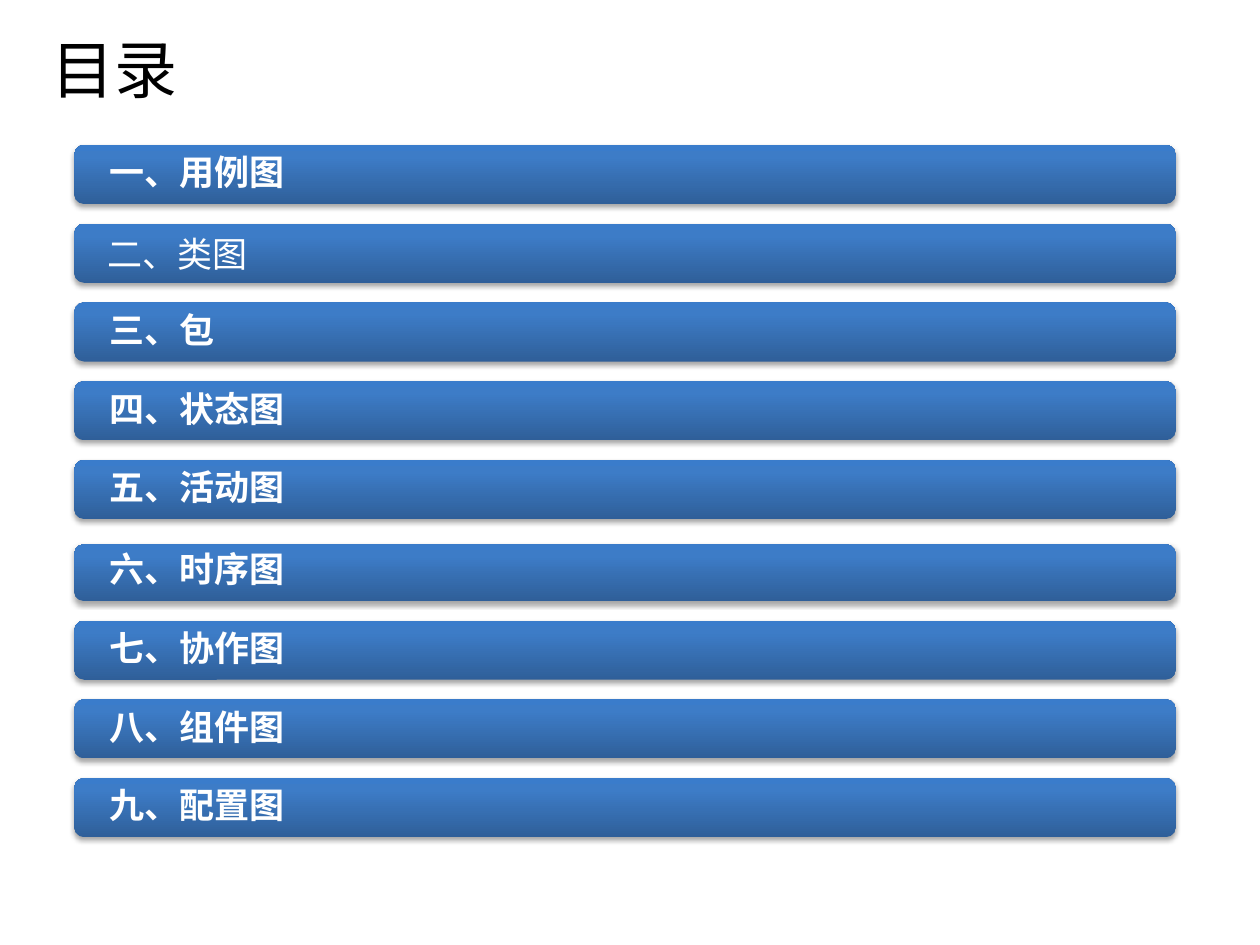
import dataclasses

import lxml.etree
import pptx
import pptx.dml.color
import pptx.enum.shapes
import pptx.enum.text
import pptx.oxml
import pptx.oxml.ns
import pptx.util


@dataclasses.dataclass(frozen=True)
class Theme:
    """Colours, fonts and type sizes of the slide."""
    ink: str = "000000"
    light: str = "FFFFFF"
    stops: tuple = ((0, "2F5F99"), (80, "3D7CC7"), (100, "3A7CCB"))
    title_font: str = "Noto Sans CJK SC"
    item_font: str = "Calibri"
    title_size: int = 36
    item_size: int = 20


@dataclasses.dataclass(frozen=True)
class Box:
    """A rectangle in inches."""
    x: float
    y: float
    w: float
    h: float

    def inset(self, dx, top, bottom):
        """Return the box with its edges moved inwards."""
        return Box(self.x + dx, self.y + top, self.w - 2 * dx, self.h - top - bottom)

    def emu(self):
        """Return left, top, width and height as lengths."""
        return [pptx.util.Inches(v) for v in (self.x, self.y, self.w, self.h)]


THEME = Theme()
WIDTH, HEIGHT = 10, 7.5
PITCH, BAR, MARGIN = HEIGHT / 12, 0.47, 0.02
TITLE = Box(0.31, 0, 8.21, 1.09)
FIRST_BLOCK = Box(0.59, 1.15, 8.74, 5 * PITCH)
SECOND_BLOCK = Box(0.59, 4.3, 8.74, 4 * PITCH)
FIRST_ITEMS = ["一、用例图", "二、类图", "三、包", "四、状态图", "五、活动图"]
SECOND_ITEMS = ["六、时序图", "七、协作图", "八、组件图", "九、配置图"]
PLAIN_ITEM, SHORT_ITEM = "二、类图", "六、时序图"


def style_bar(sp):
    """Give a bar its upward gradient and soft shadow."""
    sp.line.fill.background()
    stops = "".join(
        f'<a:gs pos="{pos * 1000}"><a:srgbClr val="{color}"/></a:gs>'
        for pos, color in THEME.stops)
    ns = pptx.oxml.ns.nsdecls("a")
    fill = pptx.oxml.parse_xml(
        f'<a:gradFill {ns} rotWithShape="1"><a:gsLst>{stops}</a:gsLst>'
        '<a:lin ang="16200000" scaled="0"/></a:gradFill>')
    shadow = pptx.oxml.parse_xml(
        f'<a:effectLst {ns}><a:outerShdw blurRad="39370" dist="22860" dir="5400000"'
        ' rotWithShape="0"><a:srgbClr val="000000"><a:alpha val="35000"/>'
        '</a:srgbClr></a:outerShdw></a:effectLst>')
    line = sp.line._get_or_add_ln()
    line.addprevious(fill)
    line.addnext(shadow)


def write(sp, text, font, size, color, bold=False, inset=0.1):
    """Write one left-aligned, vertically centred paragraph."""
    tf = sp.text_frame
    tf.word_wrap = True
    tf.vertical_anchor = pptx.enum.text.MSO_ANCHOR.MIDDLE
    tf.margin_left = tf.margin_right = pptx.util.Inches(inset)
    tf.margin_top = tf.margin_bottom = 0
    p = tf.paragraphs[0]
    p.text = text
    p.alignment = pptx.enum.text.PP_ALIGN.LEFT
    p.font.name = font
    p.font.size = pptx.util.Pt(size)
    p.font.bold = bold
    p.font.color.rgb = pptx.dml.color.RGBColor.from_string(color)
    return p


def add_title(s, box, text):
    """Place the slide title."""
    sp = s.shapes.add_textbox(*box.emu())
    write(sp, text, THEME.title_font, THEME.title_size, THEME.ink)


def add_item(s, box, text):
    """Place one contents bar with its label."""
    plain = text == PLAIN_ITEM
    shapes = s.shapes if plain else s.shapes.add_group_shape().shapes
    bar_box = box.inset(0, MARGIN, 0) if text == SHORT_ITEM else box
    sp = shapes.add_shape(
        pptx.enum.shapes.MSO_SHAPE.ROUNDED_RECTANGLE, *bar_box.emu())
    style_bar(sp)
    if not plain:
        sp = shapes.add_textbox(*box.inset(2 * MARGIN, MARGIN, MARGIN).emu())
    p = write(sp, text, THEME.item_font, THEME.item_size, THEME.light,
              bold=not plain, inset=0.24)
    if not plain:
        p.line_spacing = 0.9
        p.space_after = pptx.util.Pt(7)


def add_block(s, box, items):
    """Stack contents bars evenly down the box."""
    for i, text in enumerate(items):
        add_item(s, Box(box.x, box.y + i * box.h / len(items), box.w, BAR), text)


def main():
    """Build and save the contents slide."""
    prs = pptx.Presentation()
    prs.slide_width = pptx.util.Inches(WIDTH)
    prs.slide_height = pptx.util.Inches(HEIGHT)
    s = prs.slides.add_slide(prs.slide_layouts[6])
    add_title(s, TITLE, "目录")
    add_block(s, FIRST_BLOCK, FIRST_ITEMS)
    add_block(s, SECOND_BLOCK, SECOND_ITEMS)
    prs.save("out.pptx")


if __name__ == "__main__":
    main()
